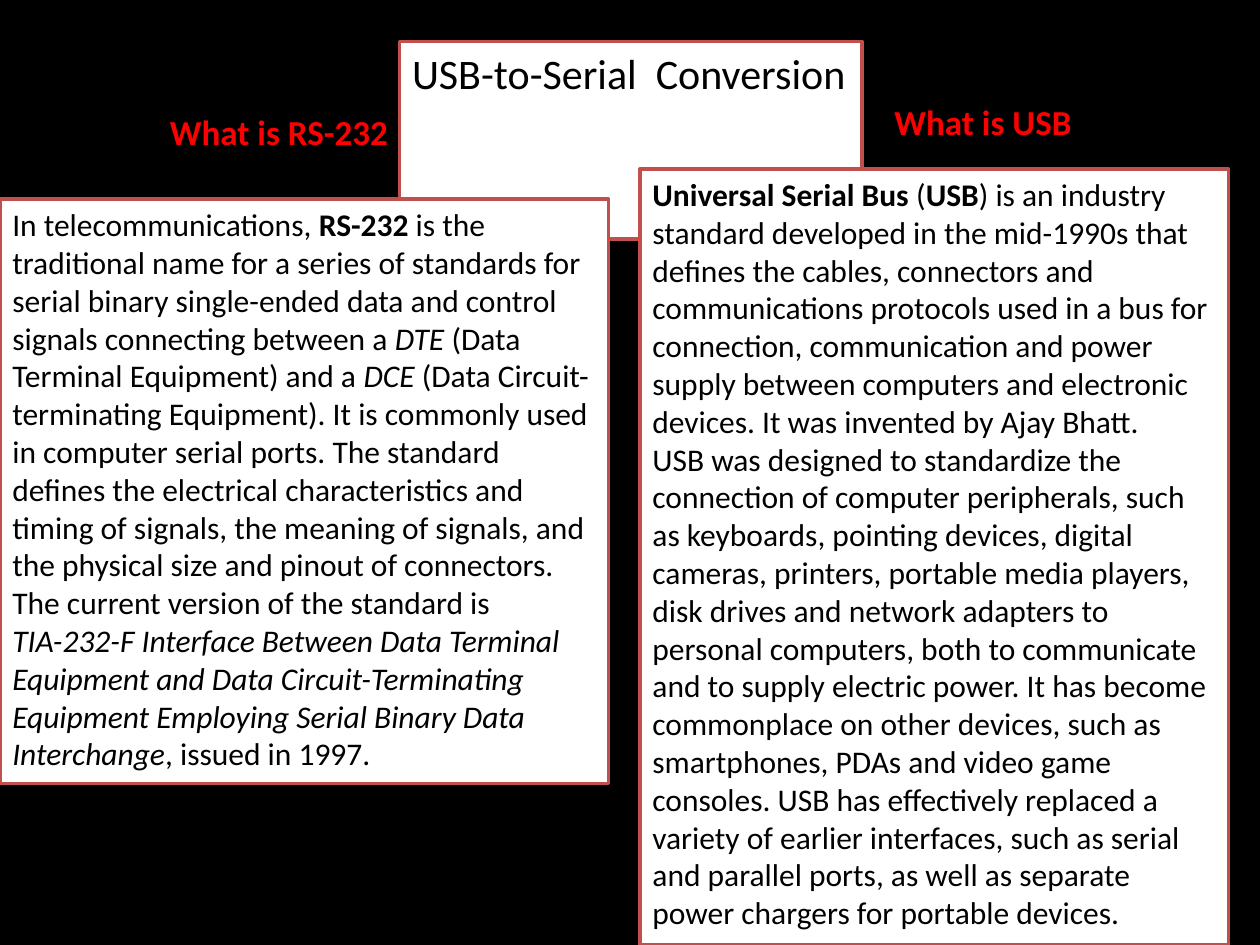
from pptx import Presentation
from pptx.dml.color import RGBColor
from pptx.enum.shapes import MSO_SHAPE as Shape
from pptx.enum.text import MSO_ANCHOR as Anchor, MSO_AUTO_SIZE as AutoSize, PP_ALIGN as Align
from pptx.util import Inches, Pt

BLACK, WHITE, RED, BORDER = "000000", "FFFFFF", "FF0000", "C0504D"

RS232_TEXT = [[
    ("In telecommunications, ", ""),
    ("RS-232", "b"),
    (" is the traditional name for a series of standards for serial binary single-ended data "
     "and control signals connecting between a ", ""),
    ("DTE", "i"),
    (" (Data Terminal Equipment) and a ", ""),
    ("DCE", "i"),
    (" (Data Circuit-terminating Equipment). It is commonly used in computer serial ports. "
     "The standard defines the electrical characteristics and timing of signals, the meaning "
     "of signals, and the physical size and pinout of connectors. The current version of the "
     "standard is ", ""),
    ("TIA-232-F Interface Between Data Terminal Equipment and Data Circuit-Terminating "
     "Equipment Employing Serial Binary Data Interchange", "i"),
    (", issued in 1997.", ""),
]]

USB_TEXT = [
    [
        ("Universal Serial Bus", "b"),
        (" (", ""),
        ("USB", "b"),
        (") is an industry standard developed in the mid-1990s that defines the cables, "
         "connectors and communications protocols used in a bus for connection, communication "
         "and power supply between computers and electronic devices. It was invented by "
         "Ajay Bhatt.", ""),
    ],
    [
        ("USB was designed to standardize the connection of computer peripherals, such as "
         "keyboards, pointing devices, digital cameras, printers, portable media players, disk "
         "drives and network adapters to personal computers, both to communicate and to supply "
         "electric power. It has become commonplace on other devices, such as smartphones, PDAs "
         "and video game consoles. USB has effectively replaced a variety of earlier interfaces, "
         "such as serial and parallel ports, as well as separate power chargers for portable "
         "devices.", ""),
    ],
]


def color(value):
    """Turn a hex string into a colour."""
    return RGBColor.from_string(value)


def write(box, paragraphs, size, ink=BLACK, wrap=True):
    """Fill a box with paragraphs made of (text, style) runs."""
    frame = box.text_frame
    frame.word_wrap = wrap
    frame.auto_size = AutoSize.SHAPE_TO_FIT_TEXT
    frame.vertical_anchor = Anchor.TOP
    for index, runs in enumerate(paragraphs):
        para = frame.add_paragraph() if index else frame.paragraphs[0]
        para.alignment = Align.LEFT
        for text, style in runs:
            span = para.add_run()
            span.text = text
            font = span.font
            font.name, font.size = "Calibri", Pt(size)
            font.bold, font.italic = "b" in style, "i" in style
            font.color.rgb = color(ink)


def frame_box(box):
    """Give a box a white fill and a red border."""
    box.fill.solid()
    box.fill.fore_color.rgb = color(WHITE)
    box.line.color.rgb = color(BORDER)
    box.line.width = Pt(2)


def add_title(page, text, left, top, width, height):
    """Place and format the title placeholder."""
    title = page.shapes.title
    title.left, title.top = Inches(left), Inches(top)
    title.width, title.height = Inches(width), Inches(height)
    frame_box(title)
    write(title, [[(text, "")]], 24, wrap=False)


def add_panel(page, paragraphs, *place):
    """Add a framed panel of body text."""
    panel = page.shapes.add_shape(Shape.RECTANGLE, *map(Inches, place))
    panel.shadow.inherit = False
    frame_box(panel)
    write(panel, paragraphs, 18)


def add_heading(page, text, *place):
    """Add a red heading above a panel."""
    heading = page.shapes.add_textbox(*map(Inches, place))
    write(heading, [[(text, "b")]], 20, RED, wrap=False)


def main():
    """Build and save the slide."""
    deck = Presentation()
    deck.slide_width, deck.slide_height = Inches(10), Inches(7.5)
    page = deck.slides.add_slide(deck.slide_layouts[5])
    page.background.fill.solid()
    page.background.fill.fore_color.rgb = color(BLACK)
    add_title(page, "USB-to-Serial  Conversion", 3.17, 0.33, 3.67, 0.5)
    add_panel(page, RS232_TEXT, 0, 1.58, 4.83, 4.64)
    add_panel(page, USB_TEXT, 5.08, 1.34, 4.67, 6.16)
    add_heading(page, "What is RS-232", 1.25, 0.83, 1.95, 0.44)
    add_heading(page, "What is USB", 7, 0.75, 1.62, 0.44)
    deck.save("out.pptx")


if __name__ == "__main__":
    main()
